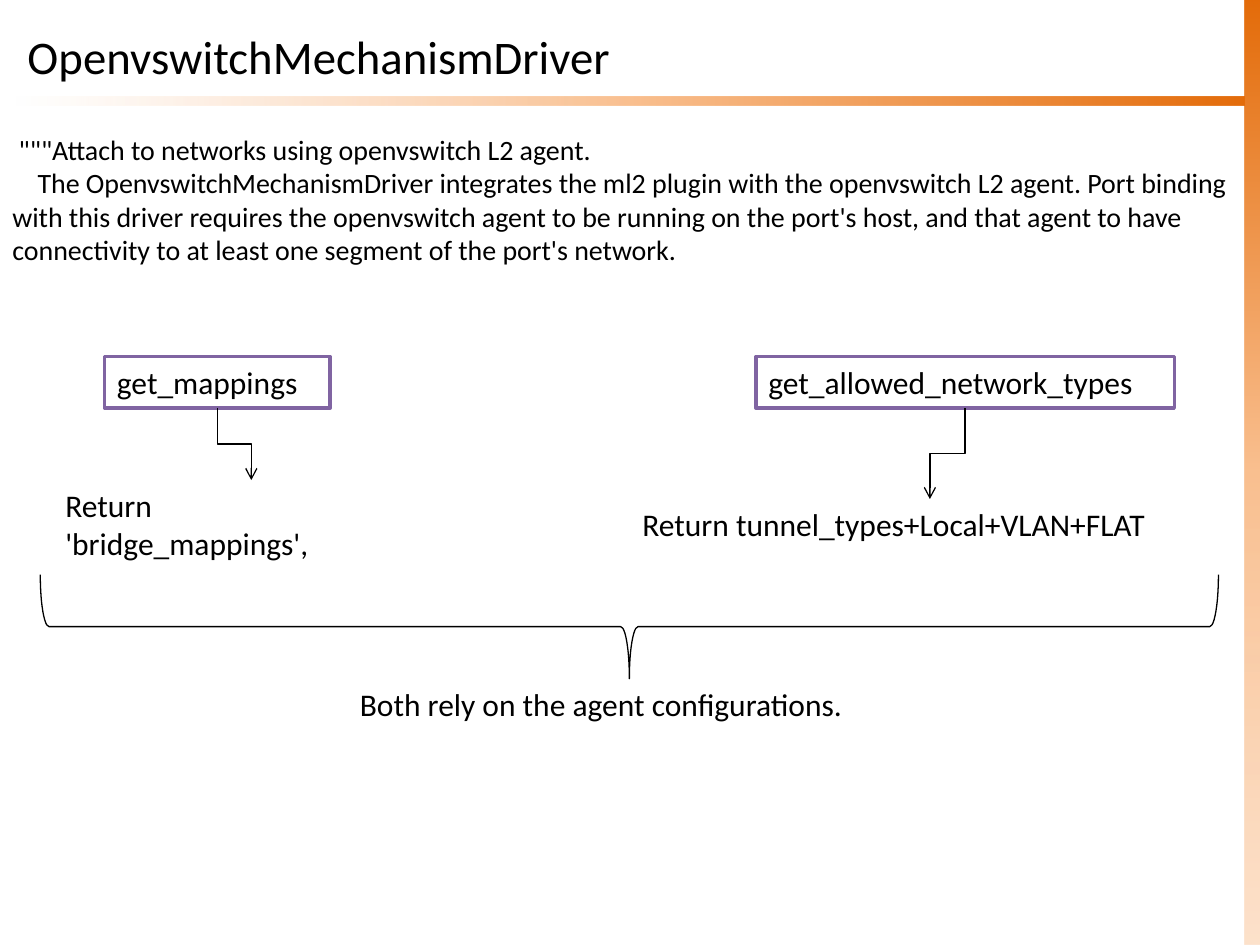
from lxml import etree
from pptx import Presentation, util as u
from pptx.dml.color import RGBColor
from pptx.enum import shapes as s, text as t
from pptx.oxml import parse_xml
from pptx.oxml.ns import nsdecls, qn

BLACK = RGBColor(0x00, 0x00, 0x00)
WHITE = RGBColor(0xFF, 0xFF, 0xFF)
PURPLE = RGBColor(0x80, 0x64, 0xA2)
DEEP = RGBColor(0xE4, 0x6C, 0x0A)
SOFT = RGBColor(0xFA, 0xC0, 0x90)
PALE = RGBColor(0xFC, 0xD5, 0xB5)

WIDE, HIGH = u.Inches(10), u.Inches(7.5)
COL, ROW = WIDE / 100, HIGH / 75


def place(box):
    """Turn a box in columns and rows into slide lengths."""
    x, y, w, h = box
    return [int(n) for n in (x * COL, y * ROW, w * COL, h * ROW)]


def style(item, form):
    """Set each attribute named in a dict of format values."""
    for name, value in form.items():
        setattr(item, name, value)


def write(shape, lines, size=18, mid=False, dents=()):
    """Fill a shape with left-aligned paragraphs."""
    frame = shape.text_frame
    anchor = t.MSO_ANCHOR.MIDDLE if mid else t.MSO_ANCHOR.TOP
    style(frame, {"word_wrap": True, "vertical_anchor": anchor})
    for i, line in enumerate(lines):
        para = frame.paragraphs[0] if i == 0 else frame.add_paragraph()
        para.alignment = t.PP_ALIGN.LEFT
        if dents:
            para._p.get_or_add_pPr().set("indent", str(u.Inches(dents[i])))
        run = para.add_run()
        run.text = line
        style(run.font, {"name": "Calibri", "size": u.Pt(size)})
        run.font.color.rgb = BLACK


def label(slide, box, lines, **form):
    """Add a plain text box."""
    write(slide.shapes.add_textbox(*place(box)), lines, **form)


def band(slide, box, angle, fade):
    """Add a bar whose orange fades along the given angle."""
    bar = slide.shapes.add_shape(s.MSO_SHAPE.RECTANGLE, *place(box))
    bar.shadow.inherit = False
    bar.line.fill.background()
    stops = "".join(
        f'<a:gs pos="{pos * 1000}"><a:srgbClr val="{tone}">'
        f'<a:alpha val="{alpha * 1000}"/></a:srgbClr></a:gs>'
        for pos, tone, alpha in ((0, DEEP, 100), (50, SOFT, 100), (100, PALE, fade)))
    fill = parse_xml(
        f'<a:gradFill {nsdecls("a")} rotWithShape="1"><a:gsLst>{stops}</a:gsLst>'
        f'<a:lin ang="{angle * 60000}" scaled="0"/></a:gradFill>')
    bar._element.spPr.find(qn("a:prstGeom")).addnext(fill)


def header(slide, box):
    """Place the title with its fading rule below."""
    x, y, w, h = box
    band(slide, (x, y + h + 0.1, w, 0.7), 180, 0)
    label(slide, box, ["OpenvswitchMechanismDriver"], size=26.7, mid=True)


def intro(slide, box):
    """Place the driver's description."""
    label(slide, box, [
        '"""Attach to networks using openvswitch L2 agent.',
        "The OpenvswitchMechanismDriver integrates the ml2 plugin with the "
        "openvswitch L2 agent. Port binding with this driver requires the "
        "openvswitch agent to be running on the port's host, and that agent to "
        "have connectivity to at least one segment of the port's network."],
        size=16, dents=(0.05, 0.2))


def elbow(slide, start, end):
    """Draw a down-across-down arrow between two grid points."""
    (x1, y1), (x2, y2) = start, end
    mx, my = (x1 + x2) / 2, (y1 + y2) / 2
    half, rise = (y2 - y1) / 2, abs(x2 - x1) / 2
    turn, side = (270, -1) if x2 > x1 else (90, 1)
    ends = (mx - side * half) * COL, (my - rise) * ROW, (mx + side * half) * COL, (my + rise) * ROW
    link = slide.shapes.add_connector(s.MSO_CONNECTOR.ELBOW, *map(int, ends))
    link.line.width = u.Pt(0.75)
    link.line.color.rgb = BLACK
    props = link._element.spPr
    props.find(qn("a:xfrm")).set("rot", str(turn * 60000))
    etree.SubElement(props.find(qn("a:ln")), qn("a:tailEnd"), type="arrow")
    etree.SubElement(props, qn("a:effectLst"))


def branch(slide, box, name, drop, shift, out, lines):
    """Place a method box, its arrow and what it returns."""
    x, y, w, h = box
    node = slide.shapes.add_shape(s.MSO_SHAPE.RECTANGLE, *place(box))
    node.shadow.inherit = False
    node.fill.solid()
    node.fill.fore_color.rgb = WHITE
    node.line.color.rgb = PURPLE
    node.line.width = u.Pt(2)
    write(node, [name])
    foot = y + h
    elbow(slide, (x + w / 2, foot), (x + w / 2 + shift, foot + drop))
    left, wide = out
    label(slide, (left, foot + drop, wide, 4 * len(lines)), lines)


def summary(slide, box):
    """Place the brace over the closing line."""
    x, y, w, h = box
    tall = h * 2 / 3
    spot = x + (w - tall) / 2, y + (tall - w) / 2, tall, w
    brace = slide.shapes.add_shape(s.MSO_SHAPE.LEFT_BRACE, *place(spot))
    brace.rotation = 270
    brace.shadow.inherit = False
    brace.fill.background()
    brace.line.color.rgb = BLACK
    brace.line.width = u.Pt(0.75)
    label(slide, (x + w / 4 + 1, y + tall, 43.8, h - tall),
          ["Both rely on the agent configurations."])


def main():
    """Build and save the slide."""
    deck = Presentation()
    style(deck, {"slide_width": WIDE, "slide_height": HIGH})
    slide = deck.slides.add_slide(deck.slide_layouts[6])
    band(slide, (98.8, 0, 1.2, 75), 90, 69)
    header(slide, (1.2, 1.3, 97.6, 6.3))
    intro(slide, (0, 10, 100, 11.8))
    branch(slide, (8.3, 28.3, 17.9, 4.1), "get_mappings", 5.7, 2.7,
           (4.2, 31.7), ["Return", "'bridge_mappings',"])
    branch(slide, (60, 28.3, 33.2, 4.1), "get_allowed_network_types", 7.2, -2.8,
           (50, 47.6), ["Return tunnel_types+Local+VLAN+FLAT"])
    summary(slide, (3.2, 45.6, 93.5, 12.4))
    deck.save("out.pptx")


if __name__ == "__main__":
    main()
